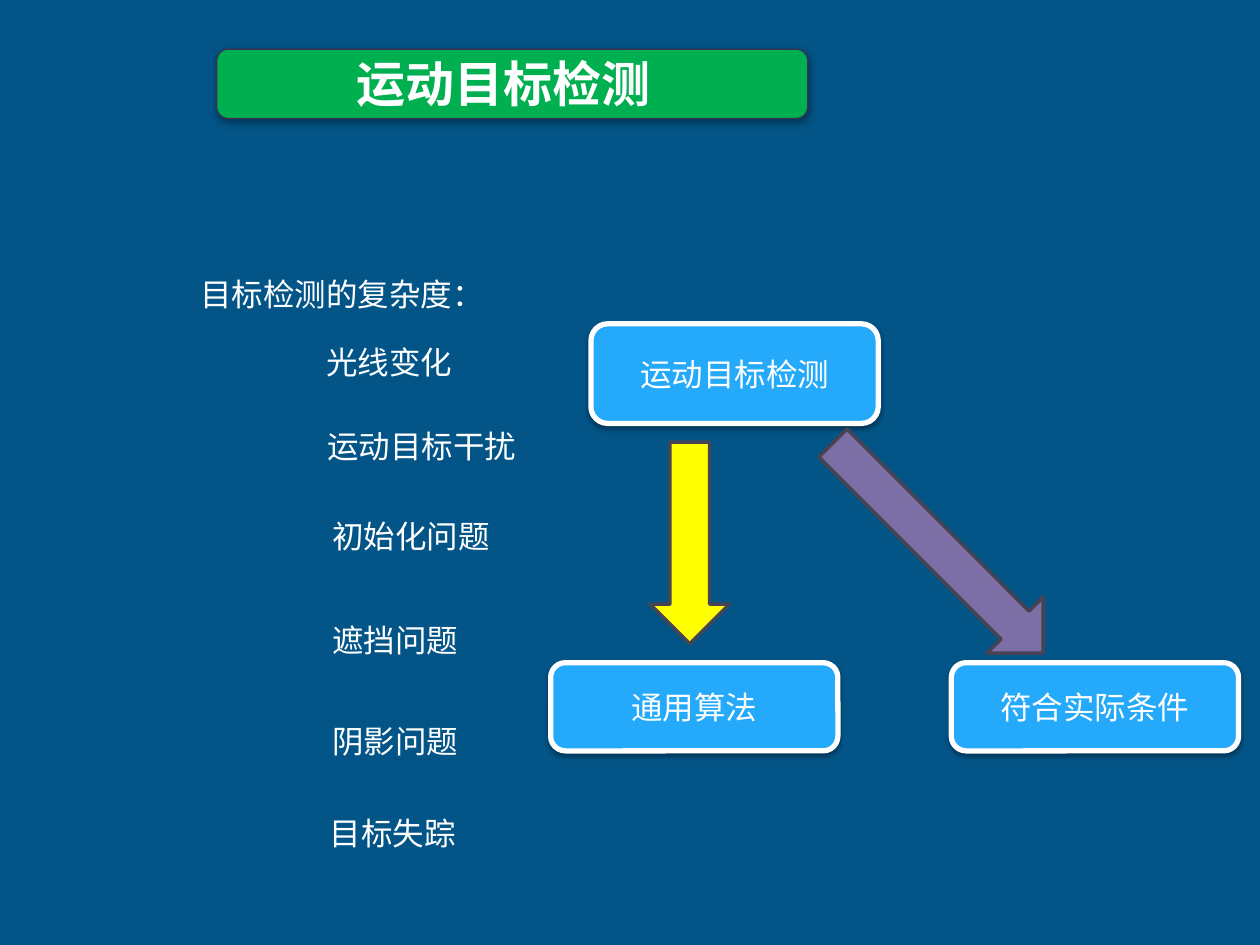
from typing import NamedTuple

from lxml import etree
from pptx import Presentation, util as u
from pptx.dml.color import RGBColor
from pptx.enum import shapes, text
from pptx.oxml.ns import qn

CJK = "Noto Sans CJK SC"
WHITE = "FFFFFF"
LINE_H = 0.42


class Line(NamedTuple):
    words: str
    left: float
    middle: float


class Block(NamedTuple):
    left: float
    top: float
    width: float
    height: float
    fill: str
    line: str
    line_pt: float
    blur_pt: float = 0
    words: str = ""
    rotation: float = 0


def rgb(value: str) -> RGBColor:
    return RGBColor.from_string(value)


def add_run(p, words: str, size: float = 18, font: str = CJK, bold: bool = False) -> None:
    r = p.add_run()
    r.text = words
    r.font.size = u.Pt(size)
    r.font.name = font
    r.font.bold = bold
    r.font.color.rgb = rgb(WHITE)
    # East Asian typeface follows the latin one
    ea = etree.Element(qn("a:ea"), typeface=CJK)
    r.font._element.find(qn("a:latin")).addnext(ea)


def add_shadow(sp, blur_pt: float) -> None:
    effects = sp._element.spPr.find(qn("a:effectLst"))
    shadow = etree.SubElement(effects, qn("a:outerShdw"), blurRad=str(u.Pt(blur_pt)),
                              dist=str(u.Pt(1.6)), dir="5400000", rotWithShape="0")
    color = etree.SubElement(shadow, qn("a:srgbClr"), val="000000")
    etree.SubElement(color, qn("a:alpha"), val="38000")


def draw_block(slide, block: Block, kind: shapes.MSO_SHAPE) -> None:
    sp = slide.shapes.add_shape(kind, *map(u.Inches, block[:4]))
    sp.rotation = block.rotation
    sp.fill.solid()
    sp.fill.fore_color.rgb = rgb(block.fill)
    sp.line.color.rgb = rgb(block.line)
    sp.line.width = u.Pt(block.line_pt)
    sp.shadow.inherit = False
    if block.blur_pt:
        add_shadow(sp, block.blur_pt)
    if block.words:
        tf = sp.text_frame
        tf.vertical_anchor = text.MSO_ANCHOR.MIDDLE
        p = tf.paragraphs[0]
        p.alignment = text.PP_ALIGN.CENTER
        add_run(p, block.words, font="Arial")


def draw_line(slide, line: Line) -> None:
    sp = slide.shapes.add_textbox(u.Inches(line.left), u.Inches(line.middle - LINE_H / 2),
                                  u.Inches(2.4), u.Inches(LINE_H))
    tf = sp.text_frame
    tf.word_wrap = True
    tf.vertical_anchor = text.MSO_ANCHOR.MIDDLE
    p = tf.paragraphs[0]
    p.line_spacing = 0.9
    add_run(p, line.words)


def step(words: str, left: float, top: float, height: float) -> Block:
    return Block(left, top, 2.28, height, "25A9FA", WHITE, 3, 3.1, words)


TITLE_BAR = Block(1.72, 0.39, 4.69, 0.55, "00B050", "3A3252", 0.75, 5)
LINES = [
    Line("目标检测的复杂度：", 1.49, 2.35),
    Line("光线变化", 2.49, 2.89),
    Line("运动目标干扰", 2.5, 3.56),
    Line("初始化问题", 2.54, 4.27),
    Line("遮挡问题", 2.54, 5.1),
    Line("阴影问题", 2.54, 5.9),
    Line("目标失踪", 2.52, 6.63),
]
STEPS = [
    step("运动目标检测", 4.69, 2.57, 0.79),
    step("通用算法", 4.37, 5.26, 0.7),
    step("符合实际条件", 7.55, 5.26, 0.7),
]
ARROWS = [
    Block(5.16, 3.51, 0.63, 1.6, "FFFF00", "454354", 2),
    Block(7.13, 3.17, 0.63, 2.36, "7C6FA5", "454354", 2, rotation=315),
]


def main() -> None:
    prs = Presentation()
    prs.slide_width, prs.slide_height = u.Inches(10), u.Inches(7.5)
    slide = prs.slides.add_slide(prs.slide_layouts[5])
    slide.background.fill.solid()
    slide.background.fill.fore_color.rgb = rgb("035588")

    # Title in front of its bar
    draw_block(slide, TITLE_BAR, shapes.MSO_SHAPE.ROUNDED_RECTANGLE)
    title = slide.shapes.title
    title.left, title.top = u.Inches(0.55), u.Inches(0.15)
    title.width, title.height = u.Inches(6.89), u.Inches(1.01)
    title.text_frame.vertical_anchor = text.MSO_ANCHOR.MIDDLE
    p = title.text_frame.paragraphs[0]
    p.alignment = text.PP_ALIGN.CENTER
    add_run(p, "运动目标检测", size=28, bold=True)
    slide.shapes._spTree.append(title._element)

    # Difficulties of detection
    for line in LINES:
        draw_line(slide, line)

    # Diagram
    for block in STEPS:
        draw_block(slide, block, shapes.MSO_SHAPE.ROUNDED_RECTANGLE)
    for arrow in ARROWS:
        draw_block(slide, arrow, shapes.MSO_SHAPE.DOWN_ARROW)

    prs.save("out.pptx")


if __name__ == "__main__":
    main()
